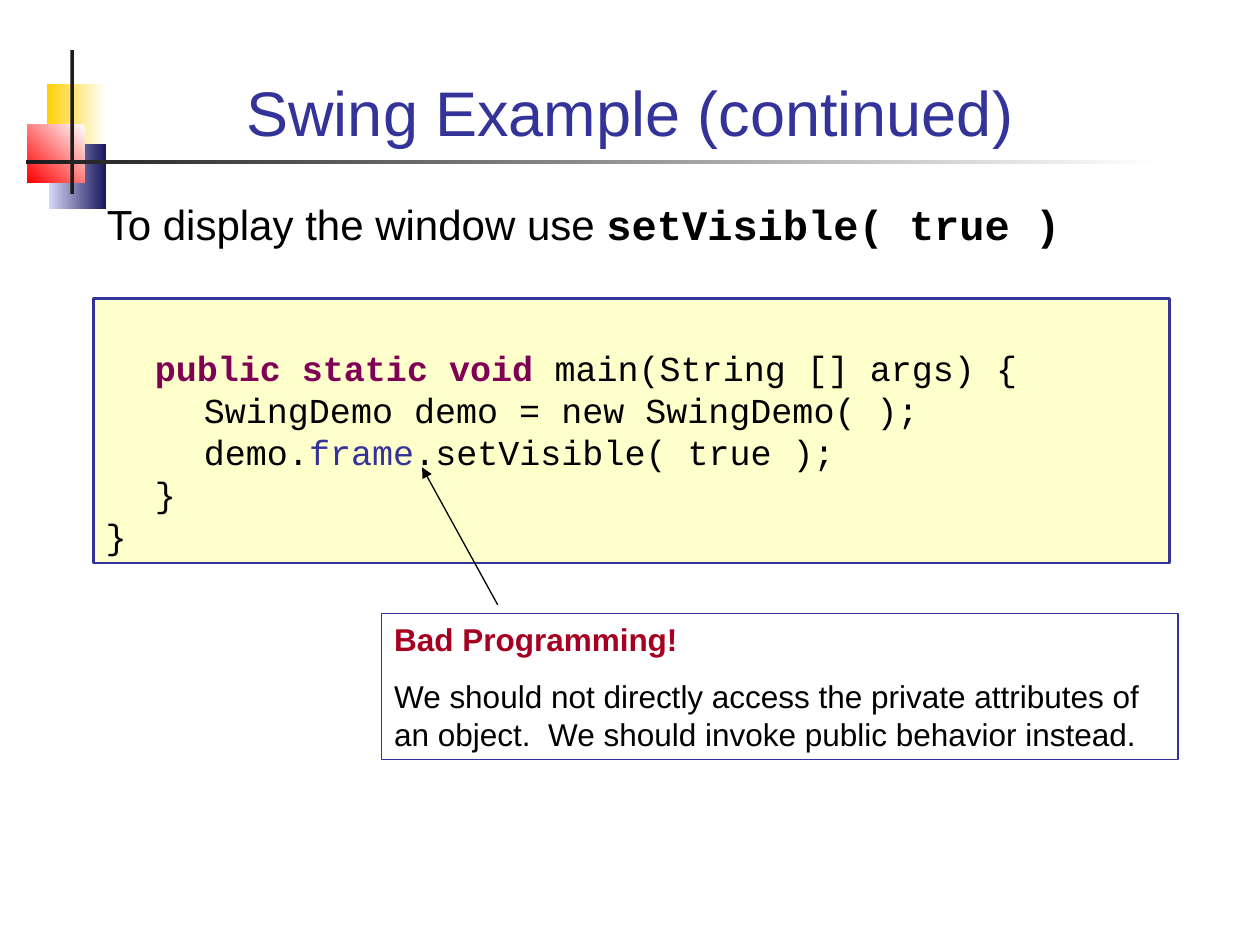
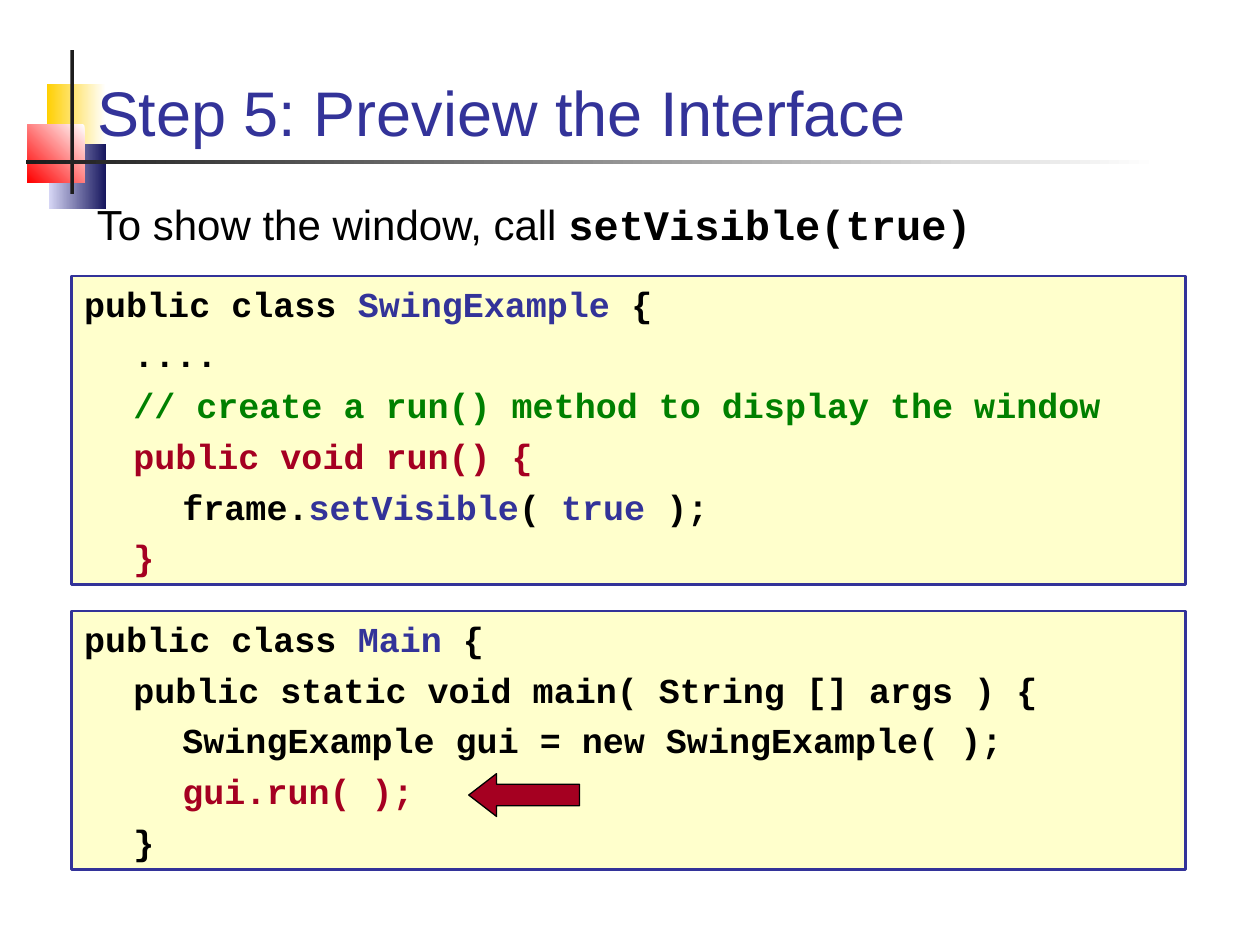
from dataclasses import dataclass

import pptx
import pptx.dml.color
import pptx.enum.shapes
import pptx.enum.text
import pptx.oxml.ns
import pptx.util
from lxml import etree

SHAPE = pptx.enum.shapes.MSO_SHAPE
ALIGN = pptx.enum.text.PP_ALIGN
ANCHOR = pptx.enum.text.MSO_ANCHOR

PX = 9144  # 100 px to the inch
SANS, MONO = "Arial", "Courier New"
NAVY, CRIMSON, BLACK, INK = "333399", "A50021", "000000", "1C1C1C"
WHITE, CREAM, PLUM, GREEN = "FFFFFF", "FFFFCC", "7F0055", "008000"
TAB_STEP, TAB_COUNT = 39, 7
LINE_FACTOR = 1.2


@dataclass(frozen=True)
class Area:
    left: int
    top: int
    width: int
    height: int

    def emu(self) -> tuple[int, ...]:
        return tuple(n * PX for n in (self.left, self.top, self.width, self.height))


@dataclass(frozen=True)
class Ornament:
    area: Area
    start: str
    end: str
    angle: int = 180


@dataclass(frozen=True)
class Span:
    text: str
    color: str | None = None
    bold: bool | None = None
    font: str | None = None


@dataclass(frozen=True)
class Style:
    size: int
    font: str = SANS
    bold: bool = False
    color: str = BLACK
    gap: float = 0


Line = list[Span]

ORNAMENTS = [
    Ornament(Area(37, 67, 47, 52), WHITE, "FFCF01"),
    Ornament(Area(39, 114, 45, 52), "17175E", "D6D6F5"),
    Ornament(Area(22, 99, 45, 46), WHITE, "FF0000", 225),
    Ornament(Area(56, 40, 3, 114), INK, INK),
    Ornament(Area(21, 127, 899, 3), WHITE, INK),
]
TITLE_AREA = Area(67, 28, 866, 95)
TITLE = Style(36, color=NAVY)
LEAD = Style(24)
CODE = Style(20, MONO)
BOLD_CODE = Style(20, MONO, bold=True, gap=5)
NOTE = Style(18, gap=11.2)

DEMO_CODE = [
    [Span("\tpublic static void", PLUM, True), Span(" main(String [] args) {")],
    [Span("\t\tSwingDemo demo = new SwingDemo( );")],
    [Span("\t\tdemo."), Span("frame", NAVY), Span(".setVisible( true );")],
    [Span("\t}")],
    [Span("}")],
]
WARNING = [
    [Span("Bad Programming!", CRIMSON, True)],
    [Span("We should not directly access the private attributes of an object.  "
          "We should invoke public behavior instead.")],
]
EXAMPLE_CODE = [
    [Span("public class "), Span("SwingExample", NAVY), Span(" {")],
    [Span("\t....")],
    [Span("\t// create a run() method to display the window", GREEN)],
    [Span("\tpublic void run() {", CRIMSON)],
    [Span("\t\tframe."), Span("setVisible", NAVY), Span("( "),
     Span("true ", NAVY), Span(");")],
    [Span("\t}", CRIMSON)],
]
MAIN_CODE = [
    [Span("public class "), Span("Main", NAVY), Span(" {")],
    [Span("\tpublic static void main( String [] args ) {")],
    [Span("\t\tSwingExample gui = new SwingExample( );")],
    [Span("\t\tgui.run( );", CRIMSON)],
    [Span("\t}")],
]


def rgb(color: str) -> pptx.dml.color.RGBColor:
    return pptx.dml.color.RGBColor.from_string(color)


def add_tab_stops(para) -> None:
    properties = para._p.get_or_add_pPr()
    stops = etree.SubElement(properties, pptx.oxml.ns.qn("a:tabLst"))
    for number in range(1, TAB_COUNT + 1):
        etree.SubElement(stops, pptx.oxml.ns.qn("a:tab"),
                         pos=str(number * TAB_STEP * PX), algn="l")


def write(frame, lines: list[Line], style: Style, anchor=ANCHOR.TOP,
          align=ALIGN.LEFT) -> None:
    frame.word_wrap = True
    frame.auto_size = pptx.enum.text.MSO_AUTO_SIZE.NONE
    frame.vertical_anchor = anchor
    for index, line in enumerate(lines):
        para = frame.add_paragraph() if index else frame.paragraphs[0]
        add_tab_stops(para)
        para.alignment = align
        para.line_spacing = pptx.util.Pt(style.size * LINE_FACTOR)
        para.space_before = pptx.util.Pt(style.gap if index else 0)
        para.font.size = pptx.util.Pt(style.size)
        para.font.name = style.font
        para.font.bold = style.bold
        para.font.color.rgb = rgb(style.color)
        for span in line:
            run = para.add_run()
            run.text = span.text
            if span.color:
                run.font.color.rgb = rgb(span.color)
            if span.bold is not None:
                run.font.bold = span.bold
            if span.font:
                run.font.name = span.font


def add_shape(page, area: Area, kind=SHAPE.RECTANGLE, fill: str | None = None,
              line: str | None = None, weight: float = 0.75):
    shape = page.shapes.add_shape(kind, *area.emu())
    shape.shadow.inherit = False
    if fill:
        shape.fill.solid()
        shape.fill.fore_color.rgb = rgb(fill)
    else:
        shape.fill.background()
    if line:
        shape.line.color.rgb = rgb(line)
        shape.line.width = pptx.util.Pt(weight)
    else:
        shape.line.fill.background()
    return shape


def add_ornament(page, ornament: Ornament) -> None:
    fill = add_shape(page, ornament.area).fill
    fill.gradient()
    fill.gradient_angle = ornament.angle
    for stop, color in zip(fill.gradient_stops, (ornament.start, ornament.end)):
        stop.color.rgb = rgb(color)


def add_page(deck, title: str, align=ALIGN.LEFT):
    """Add a slide with the shared ornaments and its title in front of them."""
    page = deck.slides.add_slide(deck.slide_layouts.get_by_name("Title Only"))
    for ornament in ORNAMENTS:
        add_ornament(page, ornament)
    box = page.shapes.title
    box.left, box.top, box.width, box.height = TITLE_AREA.emu()
    write(box.text_frame, [[Span(title)]], TITLE, ANCHOR.BOTTOM, align)
    page.shapes._spTree.append(box._element)
    return page


def add_lead(page, area: Area, text: str, call: str) -> None:
    box = page.shapes.add_textbox(*area.emu())
    write(box.text_frame, [[Span(text), Span(call, bold=True, font=MONO)]], LEAD)


def add_code(page, area: Area, lines: list[Line], style: Style,
             anchor=ANCHOR.TOP) -> None:
    box = add_shape(page, area, fill=CREAM, line=NAVY, weight=1.5)
    write(box.text_frame, lines, style, anchor)


def add_pointer(page, start: tuple[int, int], end: tuple[int, int]) -> None:
    pointer = page.shapes.add_connector(
        pptx.enum.shapes.MSO_CONNECTOR.STRAIGHT, *(n * PX for n in start + end))
    pointer.line.color.rgb = rgb(BLACK)
    pointer.line.width = pptx.util.Pt(0.75)
    etree.SubElement(pointer.line._get_or_add_ln(), pptx.oxml.ns.qn("a:tailEnd"),
                     type="triangle")
    etree.SubElement(pointer._element.spPr, pptx.oxml.ns.qn("a:effectLst"))


def build_access_page(deck) -> None:
    page = add_page(deck, "Swing Example (continued)", ALIGN.CENTER)
    add_lead(page, Area(75, 153, 866, 77), "To display the window use ",
             "setVisible( true )")
    add_code(page, Area(74, 237, 854, 210), DEMO_CODE, CODE, ANCHOR.BOTTOM)
    note = add_shape(page, Area(303, 487, 632, 116), line=NAVY)
    write(note.text_frame, WARNING, NOTE)
    add_pointer(page, (395, 480), (335, 371))


def build_preview_page(deck) -> None:
    page = add_page(deck, "Step 5: Preview the Interface")
    add_lead(page, Area(67, 153, 866, 65), "To show the window, call ",
             "setVisible(true)")
    add_code(page, Area(57, 219, 884, 245), EXAMPLE_CODE, BOLD_CODE)
    add_code(page, Area(57, 485, 884, 205), MAIN_CODE, BOLD_CODE)
    arrow = add_shape(page, Area(372, 614, 88, 34), SHAPE.LEFT_ARROW, CRIMSON, BLACK)
    arrow.adjustments[1] = 0.65


def main() -> None:
    deck = pptx.Presentation()
    deck.slide_width, deck.slide_height = 1000 * PX, 750 * PX
    build_access_page(deck)
    build_preview_page(deck)
    deck.save("out.pptx")


if __name__ == "__main__":
    main()
